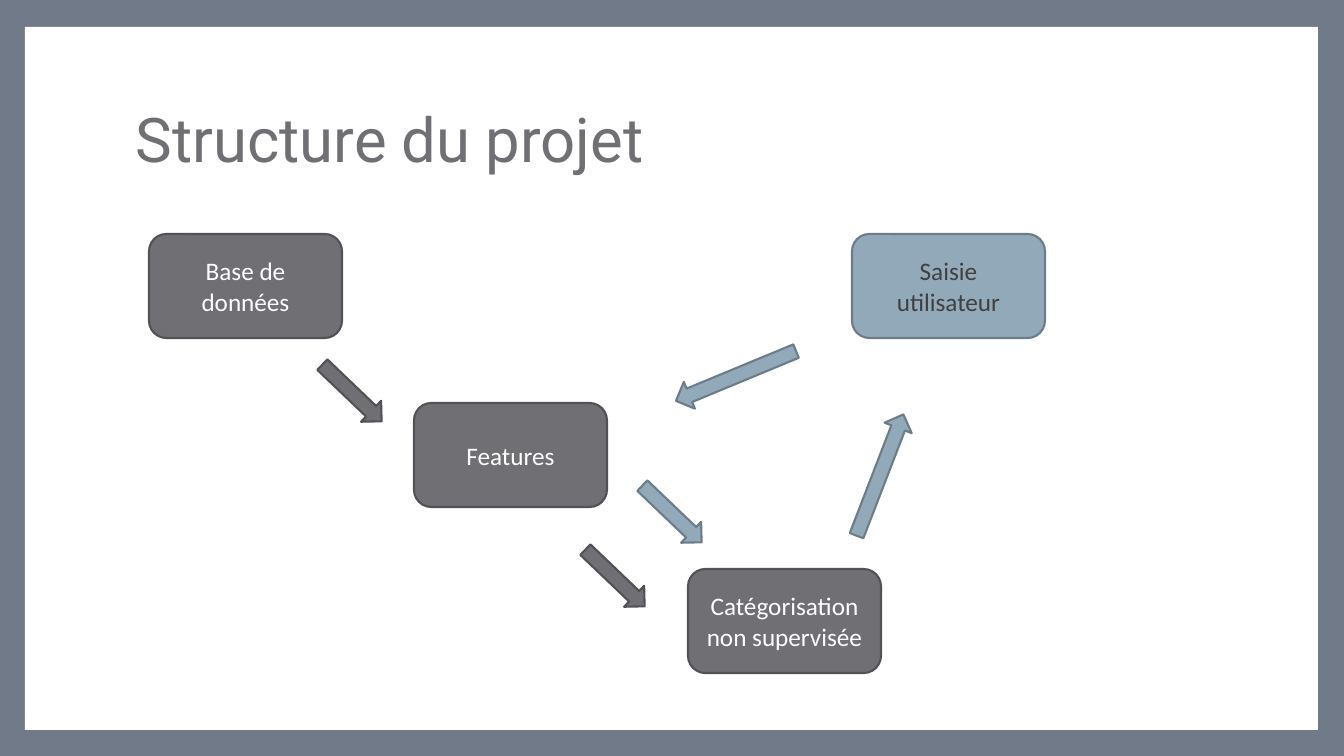
from pptx import Presentation
from pptx.dml.color import RGBColor
from pptx.enum.shapes import MSO_SHAPE
from pptx.enum.text import MSO_ANCHOR, PP_ALIGN
from pptx.util import Pt

# Content
TITLE = "Structure du projet"
GREY = ("6F6F74", "525256", "FFFFFF")  # fill, line, text
BLUE = ("92A9B9", "6C7D89", "404040")
BOXES = [  # text, left, top, colours
    ("Base de données", 149, 234, GREY),
    ("Features", 414, 403, GREY),
    ("Catégorisation non supervisée", 688, 569, GREY),
    ("Saisie utilisateur", 852, 234, BLUE),
]
ARROWS = [  # centre x, centre y, length, rotation, colours
    (352, 393, 82, 43.7, GREY),
    (615, 578, 82, 43.7, GREY),
    (736, 376, 130, 157.5, BLUE),
    (672, 514, 82, 43.7, BLUE),
    (880, 475, 130, 291.1, BLUE),
]
BOX_W, BOX_H, ARROW_H = 193, 104, 29
SLIDE_W, SLIDE_H = 1344, 756


def px(n):
    return round(n * 914400 / 100.8)


def rgb(value):
    return RGBColor.from_string(value)


def add_shape(kind, left, top, width, height, fill, line=None):
    sp = s.shapes.add_shape(kind, px(left), px(top), px(width), px(height))
    sp.shadow.inherit = False
    sp.fill.solid()
    sp.fill.fore_color.rgb = rgb(fill)
    if line:
        sp.line.color.rgb = rgb(line)
        sp.line.width = Pt(1.5)
    else:
        sp.line.fill.background()
    return sp


def add_text(sp, text, font, size, color, align):
    tf = sp.text_frame
    tf.word_wrap = True
    tf.vertical_anchor = MSO_ANCHOR.MIDDLE
    p = tf.paragraphs[0]
    p.alignment = align
    r = p.add_run()
    r.text = text
    r.font.name = font
    r.font.size = Pt(size)
    r.font.color.rgb = rgb(color)
    return p


prs = Presentation()
prs.slide_width, prs.slide_height = px(SLIDE_W), px(SLIDE_H)
s = prs.slides.add_slide(prs.slide_layouts[6])

# Background and white panel
s.background.fill.solid()
s.background.fill.fore_color.rgb = rgb("707A88")
add_shape(MSO_SHAPE.RECTANGLE, 25, 27, 1293, 703, "FFFFFF")

# Title
title = s.shapes.add_textbox(px(126), px(68), px(1089), px(149))
p = add_text(title, TITLE, "Roboto", 44, "6F6F74", PP_ALIGN.LEFT)
p.line_spacing = 0.9

# Boxes
for text, left, top, (fill, line, color) in BOXES:
    sp = add_shape(MSO_SHAPE.ROUNDED_RECTANGLE, left, top, BOX_W, BOX_H, fill, line)
    add_text(sp, text, "Calibri", 18, color, PP_ALIGN.CENTER)

# Arrows, turned about their centres
for cx, cy, length, angle, (fill, line, _) in ARROWS:
    sp = add_shape(MSO_SHAPE.RIGHT_ARROW, cx - length / 2, cy - ARROW_H / 2,
                   length, ARROW_H, fill, line)
    sp.rotation = angle

prs.save("out.pptx")
